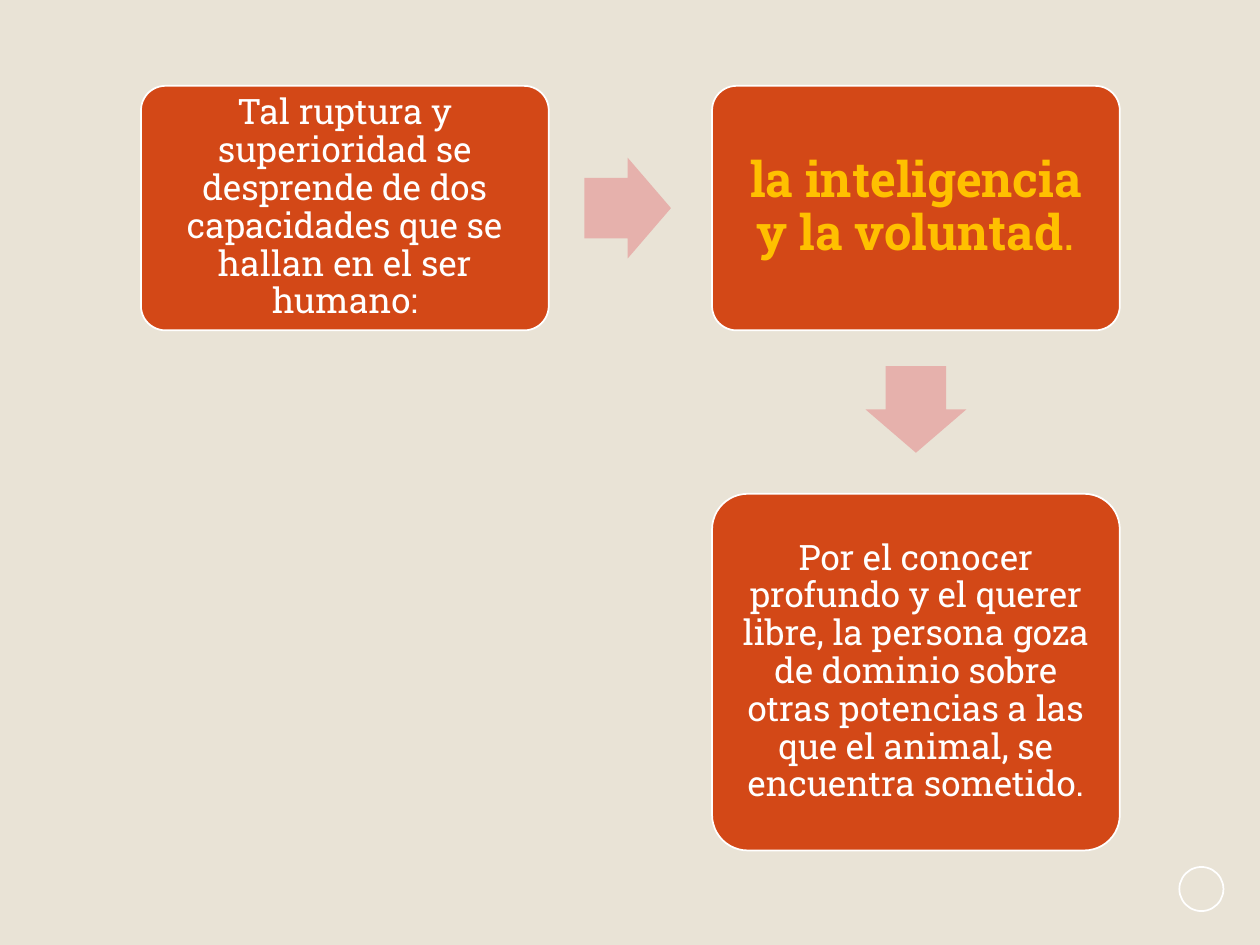
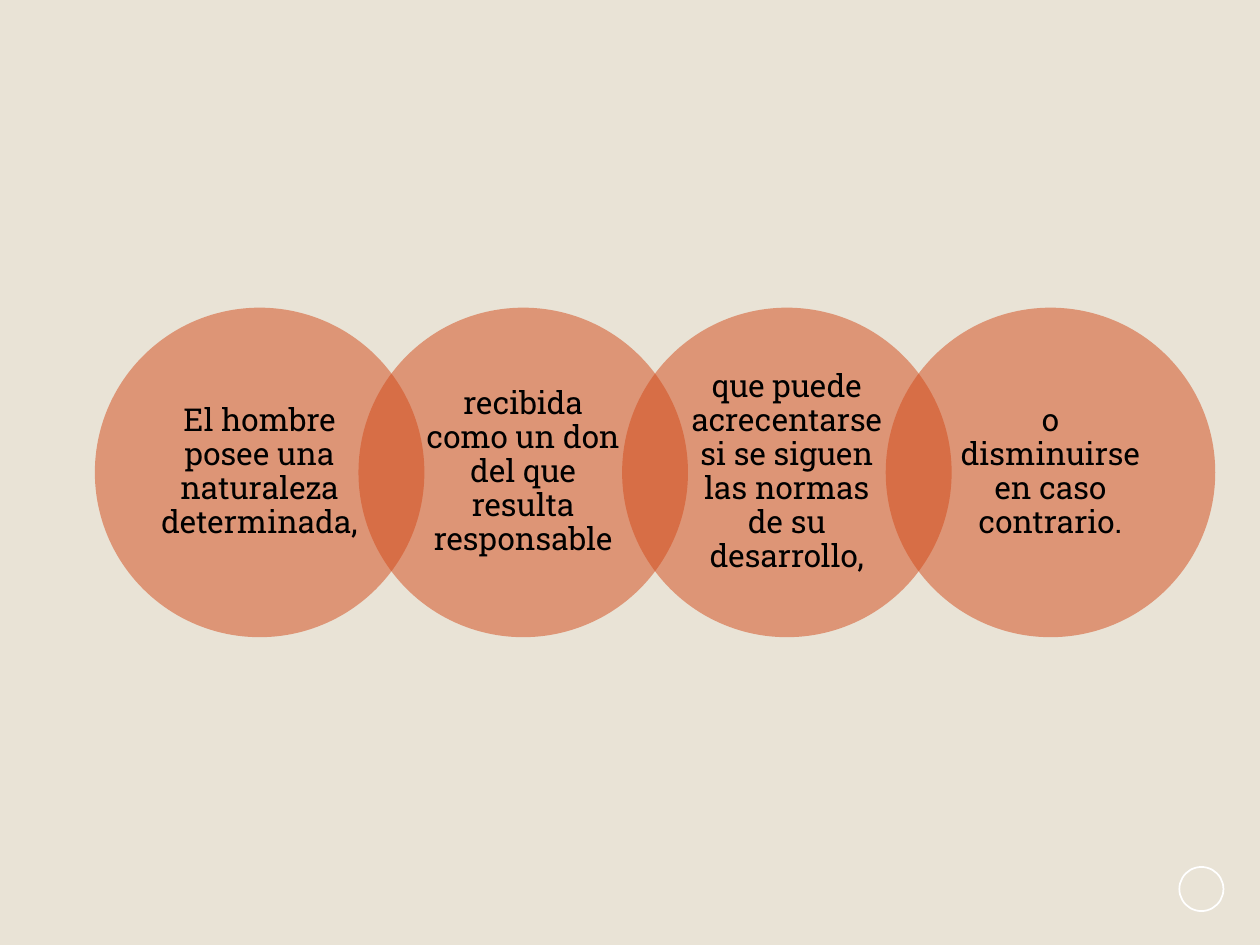
from lxml.etree import SubElement
from pptx import Presentation
from pptx.dml.color import RGBColor
from pptx.enum.shapes import MSO_SHAPE
from pptx.enum.text import MSO_ANCHOR, PP_ALIGN
from pptx.oxml.ns import qn
from pptx.util import Pt

COLORS = {
    "background": "E9E3D6",
    "orange": "D34817",
    "pink": "E6B1AC",
    "gold": "FFC000",
    "white": "FFFFFF",
    "black": "000000",
}
FONT = "Roboto Slab"


def color(name):
    return RGBColor.from_string(COLORS[name])


class Deck:
    def __init__(self):
        self.presentation = Presentation()
        self.presentation.slide_width = Pt(720)
        self.presentation.slide_height = Pt(540)
        self.slide = None

    def new_slide(self):
        self.slide = self.presentation.slides.add_slide(self.presentation.slide_layouts[6])
        fill = self.slide.background.fill
        fill.solid()
        fill.fore_color.rgb = color("background")
        self.shape(MSO_SHAPE.OVAL, 673.9, 495.4, 25.2, 25.2, line="white")

    def shape(self, kind, left, top, width, height, fill=None, line=None):
        shape = self.slide.shapes.add_shape(kind, Pt(left), Pt(top), Pt(width), Pt(height))
        shape.shadow.inherit = False
        if fill:
            shape.fill.solid()
            shape.fill.fore_color.rgb = color(fill)
        else:
            shape.fill.background()
        if line:
            shape.line.color.rgb = color(line)
            shape.line.width = Pt(1)
        else:
            shape.line.fill.background()
        return shape

    def label(self, shape, parts, size, font_color, inset_x, inset_y):
        frame = shape.text_frame
        frame.word_wrap = True
        frame.vertical_anchor = MSO_ANCHOR.MIDDLE
        frame.margin_left = frame.margin_right = Pt(inset_x)
        frame.margin_top = frame.margin_bottom = Pt(inset_y)
        paragraph = frame.paragraphs[0]
        paragraph.alignment = PP_ALIGN.CENTER
        paragraph.line_spacing = 0.9
        for text, bold in parts:
            run = paragraph.add_run()
            run.text = text
            run.font.name = FONT
            run.font.size = Pt(size)
            run.font.bold = bold
            run.font.color.rgb = color(font_color)

    def box(self, left, top, width, height, parts, size=20, font_color="white", inset=6):
        box = self.shape(MSO_SHAPE.ROUNDED_RECTANGLE, left, top, width, height, "orange", "white")
        box.adjustments[0] = 0.1
        self.label(box, parts, size, font_color, inset, inset)

    def arrow(self, center_x, center_y, rotation=0):
        width, height = 49.5, 57.6
        arrow = self.shape(MSO_SHAPE.RIGHT_ARROW, center_x - width / 2, center_y - height / 2,
                           width, height, "pink")
        arrow.adjustments[0] = 0.6
        arrow.adjustments[1] = 0.5
        arrow.rotation = rotation

    def circle(self, left, top, diameter, text):
        circle = self.shape(MSO_SHAPE.OVAL, left, top, diameter, diameter, "orange")
        fill_color = circle.element.spPr.find(qn("a:solidFill"))[0]
        SubElement(fill_color, qn("a:alpha"), val="50000")
        self.label(circle, [(text, False)], 18, "black", 10.2, 2.2)


def build_capacities(deck):
    deck.new_slide()
    left, top, width, height = 80.6, 49.1, 233, 139.7
    right = left + 326.3
    lower_top = 282.2
    deck.box(left, top, width, height, [
        ("Tal ruptura y superioridad se desprende de dos capacidades "
         "que se hallan en el ser humano:", False)])
    deck.arrow(358.7, top + height / 2)
    deck.box(right, top, width, height,
             [("la inteligencia y la voluntad", True), (".", False)],
             size=28, font_color="gold", inset=8.4)
    deck.arrow(right + width / 2, 234, rotation=90)
    deck.box(right, lower_top, width, 203.8, [
        ("Por el conocer profundo y el querer libre, la persona goza de dominio "
         "sobre otras potencias a las que el animal, se encuentra sometido.", False)])


def build_nature(deck):
    deck.new_slide()
    phrases = [
        "El hombre posee una naturaleza determinada,",
        "recibida como un don del que resulta responsable",
        "que puede acrecentarse si se siguen las normas de su desarrollo,",
        "o disminuirse en caso contrario.",
    ]
    diameter = 188.3
    for index, phrase in enumerate(phrases):
        deck.circle(54.2 + index * 0.8 * diameter, 175.8, diameter, phrase)


def main():
    deck = Deck()
    build_capacities(deck)
    build_nature(deck)
    deck.presentation.save("out.pptx")


if __name__ == "__main__":
    main()
